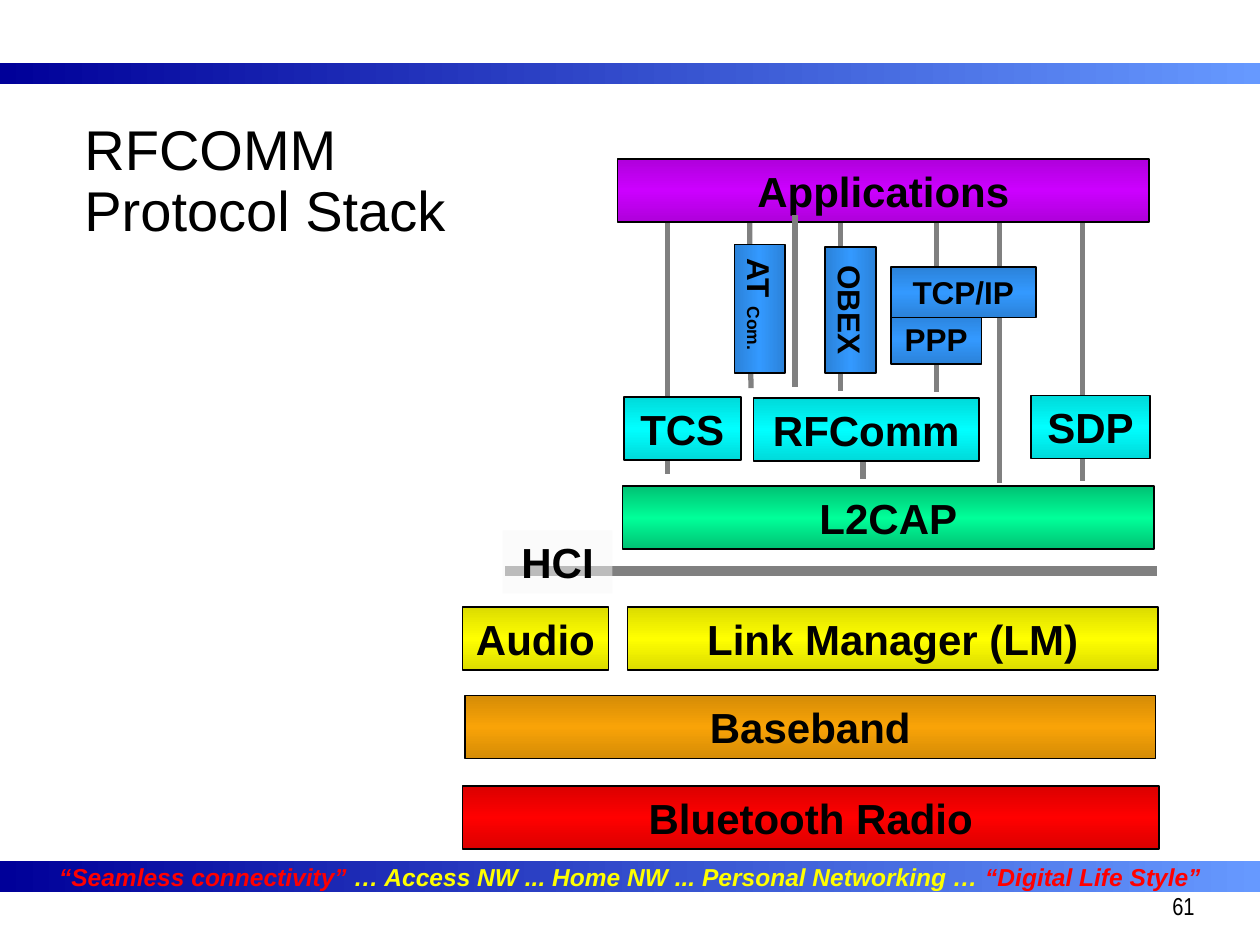
from copy import deepcopy

from lxml.etree import SubElement
from pptx import Presentation
from pptx.dml.color import RGBColor
from pptx.enum.shapes import MSO_CONNECTOR as Connector, MSO_SHAPE as Shape
from pptx.enum.text import MSO_ANCHOR as Anchor, MSO_AUTO_SIZE as AutoSize, PP_ALIGN as Align
from pptx.oxml.ns import qn
from pptx.util import Inches, Pt

BAND = ("6699FF", "000099")
PURPLE = ("AF00DB", "CC00FF", "AF00DB")
BLUE = ("2B82D9", "3399FF", "2B82D9")
CYAN = ("00DADA", "00FFFF", "00DADA")
GREEN = ("00C173", "00FF99", "00C173")
YELLOW = ("DCDC00", "FFFF00", "DCDC00")
ORANGE = ("D58C06", "F9A307", "D58C06")
RED = ("DB0000", "FF0000", "DB0000")

# Vertical links: x at top, y at top, x at bottom, y at bottom
LINKS = [
    (3.18, 2.37, 3.18, 2.54),
    (1.63, 0.5, 1.63, 2.5),
    (4.92, 0.5, 4.92, 2.56),
    (3, 0.49, 3, 1.84),
    (3.76, 0.5, 3.76, 1.85),
    (4.26, 0.49, 4.26, 2.57),
    (2.28, 0.48, 2.29, 1.82),
]
FRONT_LINK = (2.64, 0.45, 2.64, 1.81)
HCI_LINE = (5.51, 3.27, 0.34, 3.27)

# Layers: text, left, top, width, gradient
LAYERS = [
    ("Bluetooth Radio", 0, 4.98, 5.53, RED),
    ("Baseband", 0.02, 4.26, 5.48, ORANGE),
    ("Link Manager (LM)", 1.31, 3.56, 4.21, YELLOW),
    ("Audio", 0, 3.56, 1.16, YELLOW),
    ("L2CAP", 1.27, 2.6, 4.22, GREEN),
    ("HCI", 0.32, 2.95, 0.87, None),
    ("SDP", 4.51, 1.88, 0.95, CYAN),
    ("RFComm", 2.31, 1.9, 1.79, CYAN),
    ("Applications", 1.23, 0, 4.22, PURPLE),
    ("TCS", 1.28, 1.89, 0.93, CYAN),
]
# Adapters: runs of text and size, left, top, width, rotation
ADAPTERS = [
    ([("OBEX", 18)], 2.58, 1, 1, 90),
    ([("AT ", 18), ("Com.", 10), (" ", 18)], 1.85, 0.99, 1.02, 90),
    ([("PPP", 18)], 3.4, 1.23, 0.72, 0),
    ([("TCP/IP", 18)], 3.4, 0.86, 1.15, 0),
]


def rgb(value):
    return RGBColor.from_string(value)


def set_values(target, values):
    for name, value in values.items():
        setattr(target, name, value)


def add_run(paragraph, text, size, color="000000", **font_values):
    run = paragraph.add_run()
    run.text = text
    run.font.color.rgb = rgb(color)
    set_values(run.font, {"name": "Arial", "size": Pt(size), **font_values})


def fill_gradient(shape, colors, angle):
    """Spread the colours evenly along a linear gradient."""
    fill = shape.fill
    fill.gradient()
    fill.gradient_angle = angle
    stop_list = shape._element.spPr.find(qn("a:gradFill")).find(qn("a:gsLst"))
    for _ in colors[2:]:
        stop_list.append(deepcopy(stop_list[-1]))
    for index, (stop, color) in enumerate(zip(fill.gradient_stops, colors)):
        stop.position = index / (len(colors) - 1)
        stop.color.rgb = rgb(color)


def add_box(slide, left, top, width, height):
    shape = slide.shapes.add_shape(
        Shape.RECTANGLE, Inches(left), Inches(top), Inches(width), Inches(height))
    shape.shadow.inherit = False
    shape.line.fill.background()
    set_values(shape.text_frame, {"word_wrap": False, "vertical_anchor": Anchor.MIDDLE})
    shape.text_frame.paragraphs[0].alignment = Align.CENTER
    return shape


def add_block(slide, left, top, width, height, runs, colors):
    """Add an outlined gradient block, or a see-through one without colours."""
    shape = add_box(slide, left, top, width, height)
    if colors:
        fill_gradient(shape, colors, 90)
        shape.line.color.rgb = rgb("000000")
        shape.line.width = Pt(1)
    else:
        shape.fill.solid()
        shape.fill.fore_color.rgb = rgb("F8F8F8")
        color = shape._element.spPr.find(qn("a:solidFill"))[0]
        SubElement(color, qn("a:alpha"), val="50000")
    for text, size in runs:
        add_run(shape.text_frame.paragraphs[0], text, size, bold=True)
    return shape


def add_line(slide, left, top, points, width):
    x1, y1, x2, y2 = points
    line = slide.shapes.add_connector(
        Connector.STRAIGHT, Inches(left + x1), Inches(top + y1),
        Inches(left + x2), Inches(top + y2))
    line.line.color.rgb = rgb("808080")
    line.line.width = Pt(width)
    SubElement(line._element.spPr, qn("a:effectLst"))


def add_bands(slide, left, top, width):
    """Add the top band and the slogan band."""
    fill_gradient(add_box(slide, left, top, width, 0.17), BAND, 180)
    slogan = add_box(slide, left, top + 6.33, width, 0.25)
    fill_gradient(slogan, BAND, 180)
    for text, color in (
            ("“Seamless connectivity”", "FF0000"),
            (" … Access NW ... Home NW ... Personal Networking … ", "FFFF00"),
            ("“Digital Life Style”", "FF0000")):
        add_run(slogan.text_frame.paragraphs[0], text, 14, color, bold=True, italic=True)


def add_stack(slide, left, top):
    for link in LINKS:
        add_line(slide, left, top, link, 3)
    for text, x, y, width, colors in LAYERS:
        if text == "HCI":
            add_line(slide, left, top, HCI_LINE, 6)
        add_block(slide, left + x, top + y, width, 0.5, [(text, 24)], colors)
    for runs, x, y, width, rotation in ADAPTERS:
        block = add_block(slide, left + x, top + y, width, 0.4, runs, BLUE)
        block.rotation = rotation
    add_line(slide, left, top, FRONT_LINK, 3)


def place_title(slide, left, top, width, height):
    title = slide.shapes.title
    set_values(title, {"left": Inches(left), "top": Inches(top),
                       "width": Inches(width), "height": Inches(height)})
    frame = title.text_frame
    set_values(frame, {"margin_left": 0, "margin_top": 0, "margin_right": 0,
                       "margin_bottom": 0, "vertical_anchor": Anchor.TOP,
                       "word_wrap": True, "auto_size": AutoSize.NONE})
    for index, text in enumerate(("RFCOMM", "Protocol Stack")):
        paragraph = frame.add_paragraph() if index else frame.paragraphs[0]
        set_values(paragraph, {"alignment": Align.LEFT, "line_spacing": 0.9,
                               "space_before": Pt(0)})
        add_run(paragraph, text, 32)


def add_page_number(slide, left, top, width, height):
    box = slide.shapes.add_textbox(Inches(left), Inches(top), Inches(width), Inches(height))
    box.text_frame.word_wrap = True
    paragraph = box.text_frame.paragraphs[0]
    set_values(paragraph, {"alignment": Align.RIGHT, "line_spacing": 1.1})
    add_run(paragraph, "61", 14, name="Arial Narrow")


def main():
    presentation = Presentation()
    set_values(presentation, {"slide_width": Inches(10), "slide_height": Inches(7.5)})
    slide = presentation.slides.add_slide(presentation.slide_layouts[5])
    add_bands(slide, 0, 0.5, 10)
    add_stack(slide, 3.67, 1.26)
    place_title(slide, 0.67, 0.97, 8.9, 0.53)
    add_page_number(slide, 7.5, 7, 2.08, 0.5)
    presentation.save("out.pptx")


if __name__ == "__main__":
    main()
